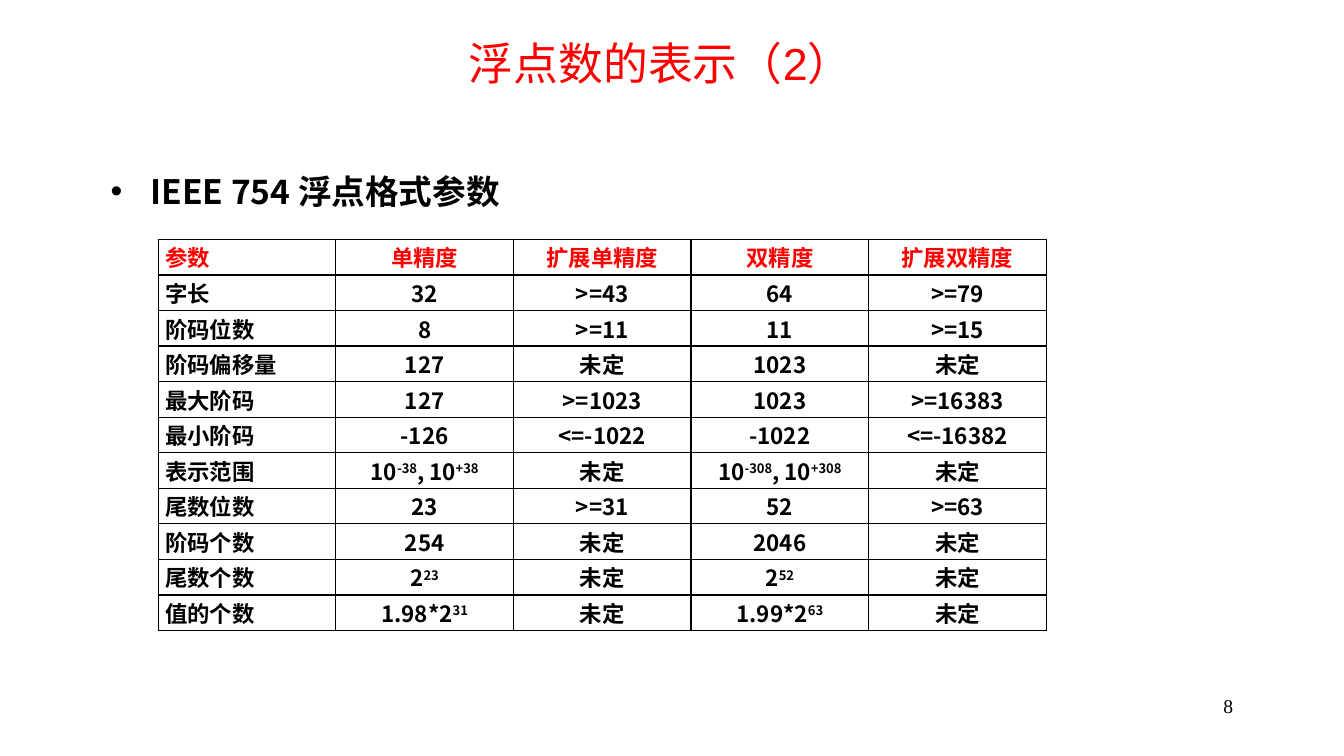
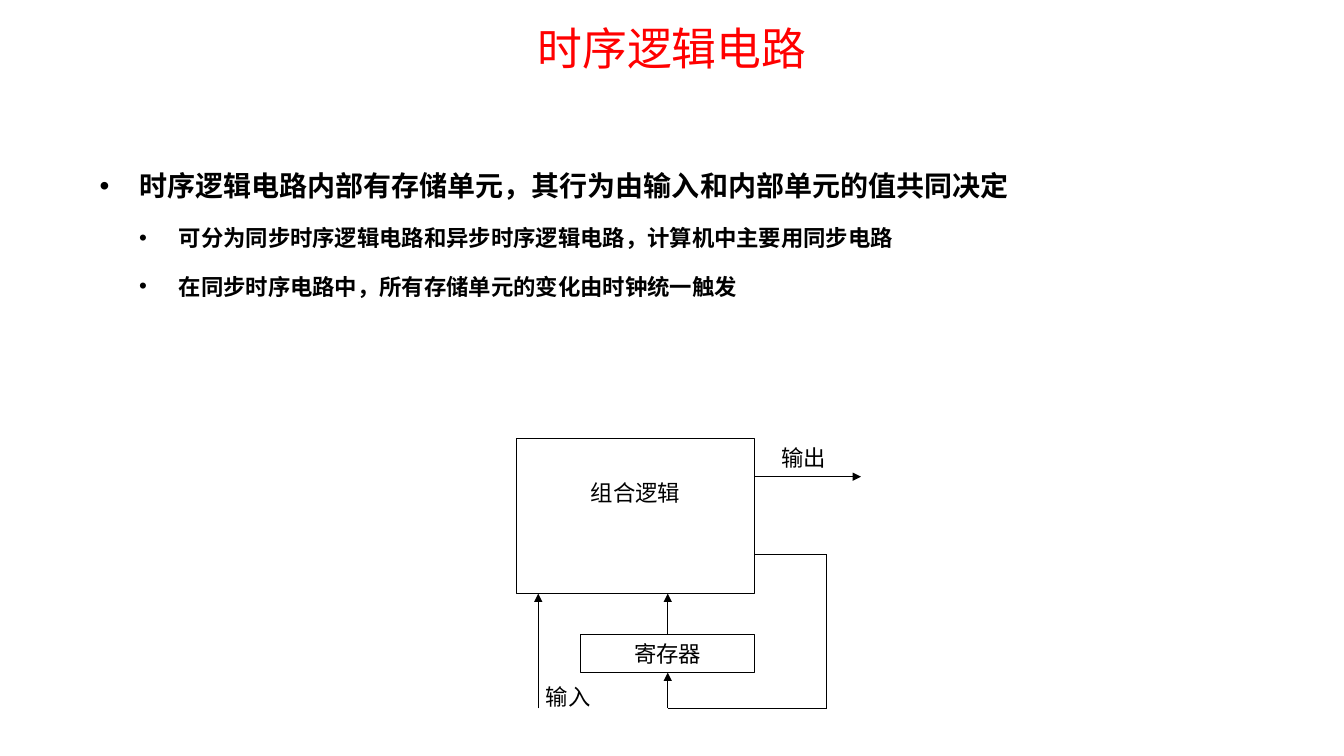
from dataclasses import dataclass

from lxml import etree
from pptx import Presentation
from pptx.dml.color import RGBColor
from pptx.enum.shapes import MSO_CONNECTOR, MSO_SHAPE
from pptx.enum.text import MSO_ANCHOR, MSO_AUTO_SIZE, PP_ALIGN
from pptx.oxml.ns import qn
from pptx.util import Pt

LEFT, CENTER, RIGHT = PP_ALIGN.LEFT, PP_ALIGN.CENTER, PP_ALIGN.RIGHT
TOP, MIDDLE = MSO_ANCHOR.TOP, MSO_ANCHOR.MIDDLE
NO_RESIZE = MSO_AUTO_SIZE.NONE
STRAIGHT, RECTANGLE = MSO_CONNECTOR.STRAIGHT, MSO_SHAPE.RECTANGLE
TITLE_ONLY = 5


@dataclass(frozen=True)
class Theme:
    """Colours, fonts and sizes shared by the slides."""
    accent: RGBColor = RGBColor(0xFF, 0x00, 0x00)
    ink: RGBColor = RGBColor(0x00, 0x00, 0x00)
    heading_font: str = "Arial"
    serif: str = "Times New Roman"
    cjk: str = "Noto Sans CJK SC"
    title: float = 32
    lead: float = 24
    point: float = 20
    label: float = 16
    page: float = 14
    stroke: float = 0.75
    grid: float = 1
    indent: float = 28.3


class Deck:
    """Builds slides in one style, one method per kind of element."""

    def __init__(self, theme):
        """Start an empty widescreen presentation."""
        self.theme = theme
        self.presentation = Presentation()
        self.presentation.slide_width = Pt(960)
        self.presentation.slide_height = Pt(540)
        self.slide = None

    def style(self, paragraph, size, font, color=None, bold=False, align=LEFT):
        """Format every run of a paragraph."""
        paragraph.alignment = align
        for run in paragraph.runs:
            run.font.size = Pt(size)
            run.font.bold = bold
            run.font.color.rgb = color or self.theme.ink
            run.font.name = font
            east_asian = etree.SubElement(run._r.get_or_add_rPr(), qn("a:ea"))
            east_asian.set("typeface", self.theme.cjk)

    def frame(self, shape, anchor, insets):
        """Set wrapping, anchor and insets (left, top, right, bottom)."""
        frame = shape.text_frame
        frame.word_wrap = True
        frame.auto_size = NO_RESIZE
        frame.vertical_anchor = anchor
        (frame.margin_left, frame.margin_top,
         frame.margin_right, frame.margin_bottom) = map(Pt, insets)
        return frame

    def add_slide(self, title, left, top, width, height):
        """Add a slide with its red title."""
        layout = self.presentation.slide_layouts[TITLE_ONLY]
        self.slide = self.presentation.slides.add_slide(layout)
        heading = self.slide.shapes.title
        heading.left, heading.top = Pt(left), Pt(top)
        heading.width, heading.height = Pt(width), Pt(height)
        frame = self.frame(heading, MIDDLE, (7.2, 3.6, 7.2, 3.6))
        frame.text = title
        self.style(frame.paragraphs[0], self.theme.title,
                   self.theme.heading_font, self.theme.accent, align=CENTER)

    def text(self, words, left, top, width, height, size,
             align=LEFT, anchor=MIDDLE, insets=(0, 0, 0, 0)):
        """Add one line of plain text."""
        box = self.slide.shapes.add_textbox(*map(Pt, (left, top, width, height)))
        frame = self.frame(box, anchor, insets)
        frame.text = words
        self.style(frame.paragraphs[0], size, self.theme.serif, align=align)

    def bullets(self, items, left, top, width, height, font):
        """Add bold bullets given as (level, size, words)."""
        box = self.slide.shapes.add_textbox(*map(Pt, (left, top, width, height)))
        frame = self.frame(box, TOP, (7.2, 3.6, 7.2, 3.6))
        frame.text = "\n".join(words for _, _, words in items)
        for index, (level, size, _) in enumerate(items):
            paragraph = frame.paragraphs[index]
            paragraph.level = level
            paragraph.line_spacing = 1.5
            paragraph.space_before = Pt(6 if index else 0)
            properties = paragraph._p.get_or_add_pPr()
            properties.set("marL", str(Pt(self.theme.indent * (level + 1))))
            properties.set("indent", str(-Pt(self.theme.indent)))
            etree.SubElement(properties, qn("a:buFont")).set("typeface", "Arial")
            etree.SubElement(properties, qn("a:buChar")).set("char", "•")
            self.style(paragraph, size, font, bold=True)

    def cell(self, cell, words, color, align):
        """Fill a bordered cell; text between carets is superscript."""
        cell.margin_left = cell.margin_right = Pt(5)
        cell.margin_top = cell.margin_bottom = Pt(0)
        cell.vertical_anchor = MIDDLE
        cell.fill.background()
        paragraph = cell.text_frame.paragraphs[0]
        for index, part in enumerate(filter(None, words.split("^"))):
            run = paragraph.add_run()
            run.text = part
            if index % 2:
                run._r.get_or_add_rPr().set("baseline", "30000")
        self.style(paragraph, self.theme.label, self.theme.cjk, color, True, align)
        properties = cell._tc.get_or_add_tcPr()
        for position, side in enumerate(("lnL", "lnR", "lnT", "lnB")):
            border = etree.Element(qn(f"a:{side}"), w=str(Pt(self.theme.grid)))
            fill = etree.SubElement(border, qn("a:solidFill"))
            etree.SubElement(fill, qn("a:srgbClr")).set("val", str(self.theme.ink))
            properties.insert(position, border)

    def table(self, rows, left, top, column_width, row_height):
        """Add an evenly spaced grid with a red header row."""
        count, columns = len(rows), len(rows[0])
        table = self.slide.shapes.add_table(
            count, columns, Pt(left), Pt(top),
            Pt(column_width * columns), Pt(row_height * count)).table
        table.first_row = table.horz_banding = False
        for column in table.columns:
            column.width = Pt(column_width)
        for r, row in enumerate(rows):
            table.rows[r].height = Pt(row_height)
            color = self.theme.ink if r else self.theme.accent
            for c, words in enumerate(row):
                self.cell(table.cell(r, c), words, color, CENTER if c else LEFT)

    def block(self, words, left, top, width, height, anchor=MIDDLE, inset_top=0):
        """Add an outlined circuit block with its label."""
        block = self.slide.shapes.add_shape(
            RECTANGLE, *map(Pt, (left, top, width, height)))
        block.shadow.inherit = False
        block.fill.background()
        block.line.color.rgb = self.theme.ink
        block.line.width = Pt(self.theme.stroke)
        frame = self.frame(block, anchor, (7.2, inset_top, 7.2, 0))
        frame.text = words
        self.style(frame.paragraphs[0], self.theme.label,
                   self.theme.serif, align=CENTER)

    def wire(self, start, end, arrow=False):
        """Add a straight wire, with an arrowhead at its end if asked."""
        wire = self.slide.shapes.add_connector(STRAIGHT, *map(Pt, start + end))
        wire.line.color.rgb = self.theme.ink
        wire.line.width = Pt(self.theme.stroke)
        if arrow:
            stroke = wire.line._get_or_add_ln()
            etree.SubElement(stroke, qn("a:tailEnd")).set("type", "triangle")
        etree.SubElement(wire._element.spPr, qn("a:effectLst"))


FORMAT_PARAMETERS = (
    ("参数", "单精度", "扩展单精度", "双精度", "扩展双精度"),
    ("字长", "32", ">=43", "64", ">=79"),
    ("阶码位数", "8", ">=11", "11", ">=15"),
    ("阶码偏移量", "127", "未定", "1023", "未定"),
    ("最大阶码", "127", ">=1023", "1023", ">=16383"),
    ("最小阶码", "-126", "<=-1022", "-1022", "<=-16382"),
    ("表示范围", "10^-38^, 10^+38", "未定", "10^-308^, 10^+308", "未定"),
    ("尾数位数", "23", ">=31", "52", ">=63"),
    ("阶码个数", "254", "未定", "2046", "未定"),
    ("尾数个数", "2^23", "未定", "2^52", "未定"),
    ("值的个数", "1.98*2^31", "未定", "1.99*2^63", "未定"),
)


def floating_point(deck):
    """Build the slide on floating-point formats."""
    theme = deck.theme
    deck.add_slide("浮点数的表示（2）", 64, 24, 816, 42)
    deck.bullets([(0, theme.lead, "IEEE 754 浮点格式参数")],
                 72, 104, 816, 36, theme.cjk)
    deck.table(FORMAT_PARAMETERS, 113, 171, 126.9, 25.4)
    deck.text("8", 688, 492, 200, 36, theme.page, RIGHT, TOP,
              (7.2, 3.6, 7.2, 3.6))


def sequential_logic(deck):
    """Build the slide on sequential logic circuits."""
    theme = deck.theme
    deck.add_slide("时序逻辑电路", 72, 0, 816, 68)
    deck.bullets([
        (0, theme.point, "时序逻辑电路内部有存储单元，其行为由输入和内部单元的值共同决定"),
        (1, theme.label, "可分为同步时序逻辑电路和异步时序逻辑电路，计算机中主要用同步电路"),
        (1, theme.label, "在同步时序电路中，所有存储单元的变化由时钟统一触发"),
    ], 64, 105, 816, 199, theme.serif)

    logic_left, logic_top, logic_right, logic_bottom = 369, 313, 539, 424
    register_left, register_top, register_height = 415, 453.5, 27
    register_bottom = register_top + register_height
    register_x = (register_left + logic_right) / 2
    input_x, output_y = 384.5, 340.5
    feedback_x, feedback_y, base_y = 590.5, 396, 506

    deck.block("组合逻辑", logic_left, logic_top, logic_right - logic_left,
               logic_bottom - logic_top, TOP, 29)
    deck.block("寄存器", register_left, register_top,
               logic_right - register_left, register_height)
    for start, end, arrow in (
        ((register_x, register_top), (register_x, logic_bottom), True),
        ((input_x, base_y), (input_x, logic_bottom), True),
        ((logic_right, output_y), (615, output_y), True),
        ((logic_right, feedback_y), (feedback_x, feedback_y), False),
        ((feedback_x, feedback_y), (feedback_x, base_y), False),
        ((feedback_x, base_y), (register_x, base_y), False),
        ((register_x, base_y), (register_x, register_bottom), True),
    ):
        deck.wire(start, end, arrow)
    for words, left, top in (("输入", 390, 487.5), ("输出", 558, 316.5)):
        deck.text(words, left, top, 42, 20, theme.label)


def main():
    """Build and save the presentation."""
    deck = Deck(Theme())
    floating_point(deck)
    sequential_logic(deck)
    deck.presentation.save("out.pptx")


if __name__ == "__main__":
    main()
